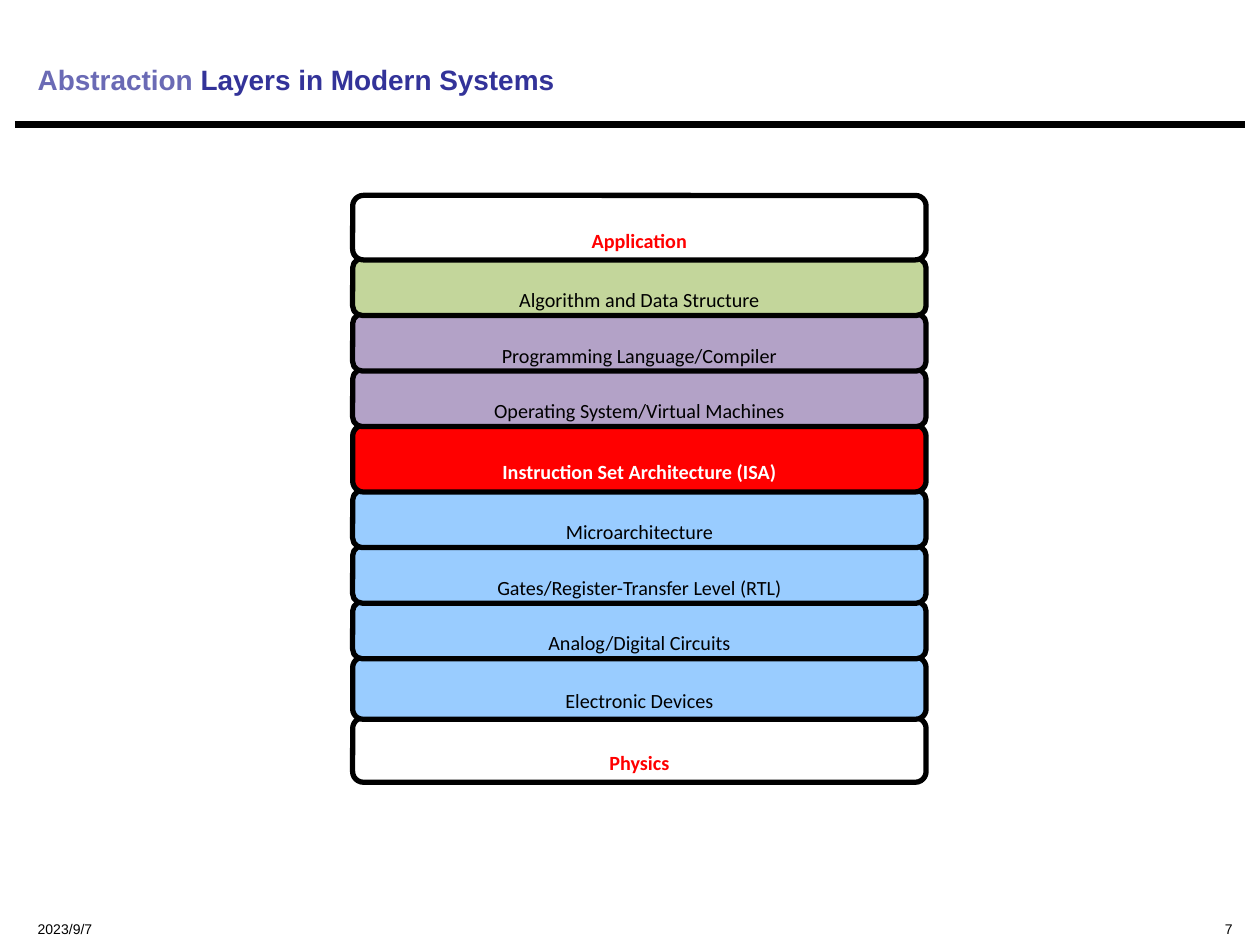
import dataclasses

import pptx
import pptx.dml.color
import pptx.enum.shapes
import pptx.enum.text
import pptx.oxml
import pptx.oxml.ns
import pptx.util

Cm = pptx.util.Cm
Anchor = pptx.enum.text.MSO_ANCHOR
Align = pptx.enum.text.PP_ALIGN


@dataclasses.dataclass(frozen=True)
class Theme:
    black: str = "000000"
    white: str = "FFFFFF"
    red: str = "FF0000"
    green: str = "C3D69B"
    purple: str = "B3A2C7"
    blue: str = "99CCFF"
    title: str = "333399"
    title_light: str = "6A6AB5"
    heading_font: str = "Arial"
    layer_font: str = "Calibri"
    title_size: float = 16
    layer_size: float = 11.5
    footer_size: float = 8
    rule_width: float = 3.75
    border_width: float = 3


THEME = Theme()

# Top to bottom: label, row height in cm, fill, text colour, bold
LAYERS = [
    ("Application", 1.27, THEME.white, THEME.red, True),
    ("Algorithm and Data Structure", 1.12, THEME.green, THEME.black, False),
    ("Programming Language/Compiler", 1.12, THEME.purple, THEME.black, False),
    ("Operating System/Virtual Machines", 1.12, THEME.purple, THEME.black, False),
    ("Instruction Set Architecture (ISA)", 1.32, THEME.red, THEME.white, True),
    ("Microarchitecture", 1.12, THEME.blue, THEME.black, False),
    ("Gates/Register-Transfer Level (RTL)", 1.12, THEME.blue, THEME.black, False),
    ("Analog/Digital Circuits", 1.12, THEME.blue, THEME.black, False),
    ("Electronic Devices", 1.22, THEME.blue, THEME.black, False),
    ("Physics", 1.27, None, THEME.red, True),
]


def rgb(value):
    return pptx.dml.color.RGBColor.from_string(value)


def set_frame(shape, anchor, top_inset, bottom_inset, wrap):
    frame = shape.text_frame
    frame.word_wrap = wrap
    frame.vertical_anchor = anchor
    frame.margin_left = frame.margin_right = Cm(0.25)
    frame.margin_top = Cm(top_inset)
    frame.margin_bottom = Cm(bottom_inset)
    return frame


def style_span(span, font, size, color, bold=False):
    span.font.name = font
    span.font.size = pptx.util.Pt(size)
    span.font.bold = bold
    span.font.color.rgb = rgb(color)


def add_title(page, left, top, width, height):
    box = page.shapes.add_textbox(Cm(left), Cm(top), Cm(width), Cm(height))
    para = set_frame(box, Anchor.MIDDLE, 0.81, 0.13, True).paragraphs[0]
    for words, color in (("Abstraction", THEME.title_light),
                         (" Layers in Modern Systems", THEME.title)):
        span = para.add_run()
        span.text = words
        style_span(span, THEME.heading_font, THEME.title_size, color, True)


def add_rule(page, left, top, width):
    rule = page.shapes.add_connector(
        pptx.enum.shapes.MSO_CONNECTOR.STRAIGHT,
        Cm(left), Cm(top), Cm(left + width), Cm(top))
    rule.line.color.rgb = rgb(THEME.black)
    rule.line.width = pptx.util.Pt(THEME.rule_width)
    properties = rule._element.spPr
    properties.append(pptx.oxml.parse_xml(
        "<a:effectLst %s/>" % pptx.oxml.ns.nsdecls("a")))


def add_layers(page, left, top, width):
    bottom = top + sum(layer[1] for layer in LAYERS)
    overlap = 0.03
    # Built upwards, so that each layer lies over the one below it
    for label, height, fill, color, bold in reversed(LAYERS):
        bottom -= height
        layer = page.shapes.add_shape(
            pptx.enum.shapes.MSO_SHAPE.ROUNDED_RECTANGLE,
            Cm(left), Cm(bottom), Cm(width), Cm(height + overlap))
        layer.shadow.inherit = False
        layer.line.color.rgb = rgb(THEME.black)
        layer.line.width = pptx.util.Pt(THEME.border_width)
        if fill:
            layer.fill.solid()
            layer.fill.fore_color.rgb = rgb(fill)
        else:
            layer.fill.background()
        para = set_frame(layer, Anchor.MIDDLE, 0.51, 0, False).paragraphs[0]
        para.text = label
        para.alignment = Align.CENTER
        style_span(para.runs[0], THEME.layer_font, THEME.layer_size, color, bold)


def add_footer(page, left, top, width, height):
    date_width, number_width = 6.35, 7.62
    number_left = left + width - number_width
    for words, start, extent, align in (
            ("2023/9/7", left, date_width, Align.LEFT),
            ("7", number_left, number_width, Align.RIGHT)):
        box = page.shapes.add_textbox(Cm(start), Cm(top), Cm(extent), Cm(height))
        para = set_frame(box, Anchor.TOP, 0.46, 0, True).paragraphs[0]
        para.text = words
        para.alignment = align
        style_span(para.runs[0], THEME.heading_font, THEME.footer_size, THEME.black)


def main():
    deck = pptx.Presentation()
    deck.slide_width, deck.slide_height = Cm(25.4), Cm(19.05)
    page = deck.slides.add_slide(deck.slide_layouts[6])

    # Heading
    add_rule(page, 0.3, 2.51, 24.8)
    add_title(page, 0.51, 0.2, 24.56, 2.13)
    # Stack of abstraction layers
    add_layers(page, 7.11, 3.94, 11.56)
    # Date and page number
    add_footer(page, 0.51, 18.16, 24.59, 0.69)

    deck.save("out.pptx")


if __name__ == "__main__":
    main()
